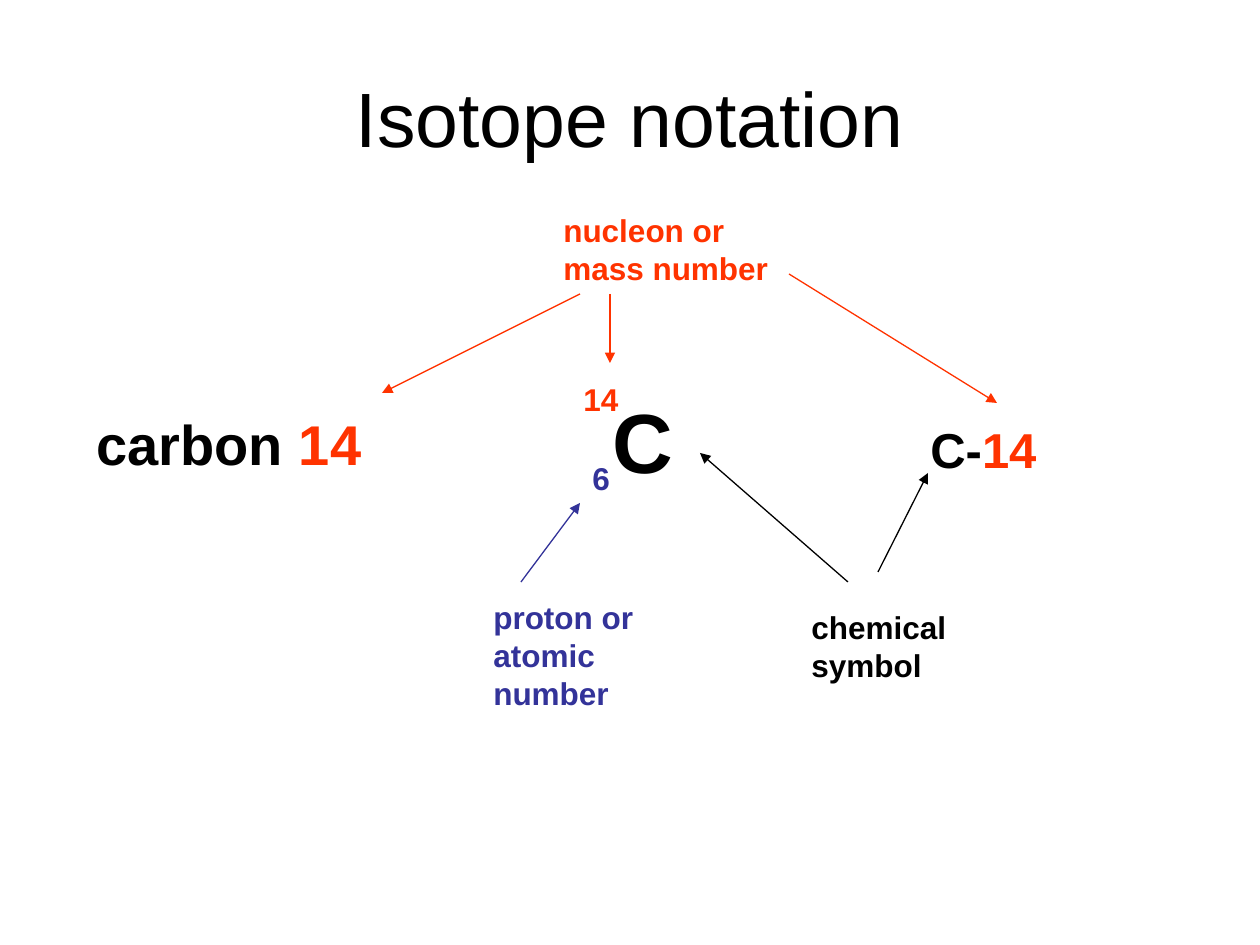
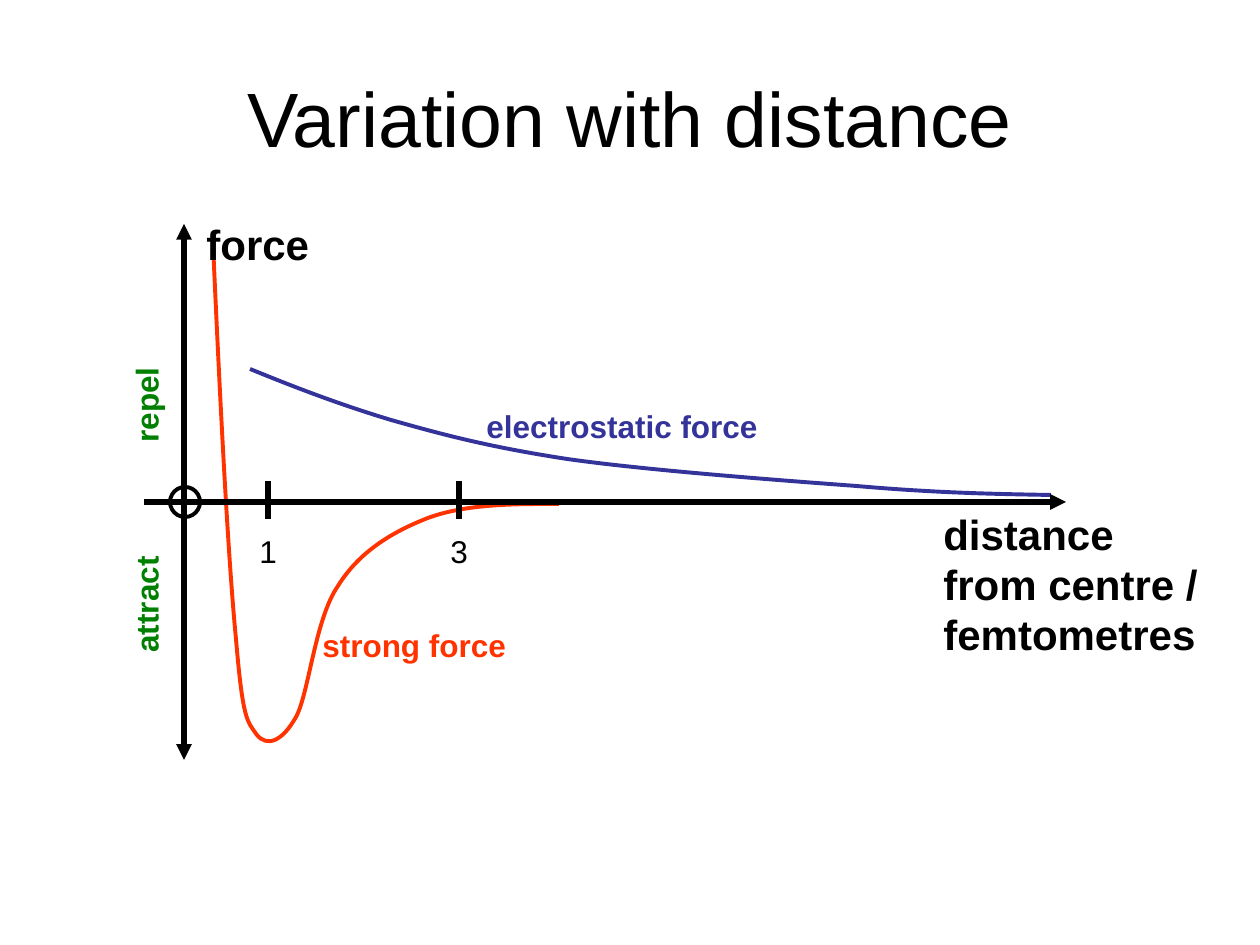
import dataclasses

import pptx
import pptx.util
import pptx.dml.color
import pptx.enum.shapes
import pptx.enum.text
import pptx.oxml.ns
from lxml import etree


@dataclasses.dataclass(frozen=True)
class Theme:
    font: str = "Arial"
    black: str = "000000"
    red: str = "FF3300"
    blue: str = "333399"
    green: str = "008000"
    title: int = 44
    symbol: int = 48
    name: int = 32
    short_name: int = 28
    axis_label: int = 24
    label: int = 18
    arrow_line: float = 0.75
    curve_line: float = 2.25
    axis_line: float = 3


THEME = Theme()
PX_PER_INCH = 126


def px(length):
    return round(length * 914400 / PX_PER_INCH)


def rgb(colour):
    return pptx.dml.color.RGBColor.from_string(colour)


def tag(name):
    return pptx.oxml.ns.qn(f"a:{name}")


# Element helpers
def style_font(font, size, colour, bold):
    font.name = THEME.font
    font.size = pptx.util.Pt(size)
    font.bold = bold
    font.color.rgb = rgb(colour)


def style_line(shape, colour, width):
    shape.line.color.rgb = rgb(colour)
    shape.line.width = pptx.util.Pt(width)


def add_page(deck, title):
    page = deck.slides.add_slide(deck.slide_layouts[5])
    box = page.shapes.title
    box.left, box.top, box.width, box.height = map(px, (63, 38, 1134, 158))
    box.text_frame.text = title
    box.text_frame.vertical_anchor = pptx.enum.text.MSO_ANCHOR.MIDDLE
    para = box.text_frame.paragraphs[0]
    para.alignment = pptx.enum.text.PP_ALIGN.CENTER
    style_font(para.font, THEME.title, THEME.black, False)
    return page


def add_label(page, text, place, colour=THEME.black, size=THEME.label,
              bold=True, accent="", rotation=0, tab=0):
    """Add a text box; accent is a closing run in red, tab a stop in px."""
    box = page.shapes.add_textbox(*map(px, place))
    box.rotation = rotation
    box.text_frame.word_wrap = True
    box.text_frame.auto_size = pptx.enum.text.MSO_AUTO_SIZE.SHAPE_TO_FIT_TEXT
    para = box.text_frame.paragraphs[0]
    if tab:
        properties = box.element.find(f".//{tag('p')}").get_or_add_pPr()
        stops = etree.SubElement(properties, tag("tabLst"))
        etree.SubElement(stops, tag("tab"), pos=str(px(tab)), algn="l")
    for words, ink in ((text, colour), (accent, THEME.red)):
        if words:
            span = para.add_run()
            span.text = words
            style_font(span.font, size, ink, bold)


def add_line(page, start, end, colour, width, heads=("tailEnd",)):
    line = page.shapes.add_connector(
        pptx.enum.shapes.MSO_CONNECTOR.STRAIGHT, *map(px, start + end))
    style_line(line, colour, width)
    properties = line.element.spPr
    outline = properties.find(tag("ln"))
    for head in heads:
        etree.SubElement(outline, tag(head), type="triangle")
    etree.SubElement(properties, tag("effectLst"))


def add_curve(page, points, colour):
    """Draw joined cubic curves: a start, then two controls and an end each."""
    start, *corners = [tuple(map(px, point)) for point in points]
    outline = page.shapes.build_freeform(*start)
    outline.add_line_segments(corners, close=False)
    curve = outline.convert_to_shape()
    # Turn each three straight segments into one cubic segment
    segments = list(curve.element.iter(tag("lnTo")))
    for first in range(0, len(segments), 3):
        cubic = etree.Element(tag("cubicBezTo"))
        segments[first].addprevious(cubic)
        for segment in segments[first:first + 3]:
            cubic.append(segment[0])
            segment.getparent().remove(segment)
    curve.shadow.inherit = False
    curve.fill.background()
    style_line(curve, colour, THEME.curve_line)


# Slides
def build_notation(deck):
    page = add_page(deck, "Isotope notation")

    # Three ways to write the isotope
    add_label(page, "carbon ", (84, 403, 297, 81), size=THEME.name, accent="14")
    add_label(page, "C-", (918, 413, 189, 72), size=THEME.short_name, accent="14")
    add_label(page, "C", (600, 383, 139, 113), size=THEME.symbol)
    add_label(page, "14", (571, 374, 120, 50), THEME.red)
    add_label(page, "6", (580, 453, 110, 50), THEME.blue)

    # Explanations and their arrows
    explanations = (
        ("nucleon or mass number", (551, 205, 238, 88), THEME.red,
         (((580, 294), (382, 393)), ((610, 294), (610, 363)), ((789, 274), (997, 403)))),
        ("proton or atomic number", (481, 592, 238, 126), THEME.blue,
         (((521, 582), (580, 503)),)),
        ("chemical symbol", (799, 602, 228, 88), THEME.black,
         (((848, 582), (700, 453)), ((878, 572), (928, 473)))),
    )
    for text, place, colour, arrows in explanations:
        add_label(page, text, place, colour)
        for start, end in arrows:
            add_line(page, start, end, colour, THEME.arrow_line)


def build_forces(deck):
    page = add_page(deck, "Variation with distance")
    add_label(page, "attract\trepel", (-30, 464, 352, 50), THEME.green,
              rotation=270, tab=210)

    # Force curves
    add_curve(page, (
        (250, 369), (294, 387), (338, 404), (391, 420),
        (444, 435), (489, 447), (567, 459), (644, 470), (775, 480), (856, 486),
        (936, 493), (993, 494), (1051, 495)), THEME.blue)
    add_label(page, "electrostatic force", (474, 401, 315, 50), THEME.blue)
    add_curve(page, (
        (559, 504), (513, 504), (466, 504), (428, 518),
        (392, 532), (359, 552), (338, 586), (315, 619), (309, 693), (296, 717),
        (282, 742), (267, 747), (257, 735), (247, 721), (243, 721), (236, 639),
        (228, 557), (220, 401), (213, 244)), THEME.red)
    add_label(page, "strong force", (310, 620, 212, 50), THEME.red)

    # Axes and origin
    add_line(page, (184, 224), (184, 760), THEME.black, THEME.axis_line,
             ("headEnd", "tailEnd"))
    add_line(page, (144, 502), (1066, 502), THEME.black, THEME.axis_line)
    origin = page.shapes.add_shape(
        pptx.enum.shapes.MSO_SHAPE.OVAL, *map(px, (170, 487, 30, 30)))
    origin.shadow.inherit = False
    origin.fill.background()
    style_line(origin, THEME.black, THEME.curve_line)
    add_label(page, "force", (194, 212, 134, 63), size=THEME.axis_label)
    add_label(page, "distance from centre / femtometres", (931, 502, 291, 164),
              size=THEME.axis_label)

    # Distance marks
    for number, x in (("3", 459), ("1", 268)):
        add_line(page, (x, 481), (x, 519), THEME.black, THEME.axis_line, ())
        add_label(page, number, (x - 21, 526, 60, 50), bold=False)


def main():
    deck = pptx.Presentation()
    deck.slide_width, deck.slide_height = px(1260), px(945)
    build_notation(deck)
    build_forces(deck)
    deck.save("out.pptx")


if __name__ == "__main__":
    main()
